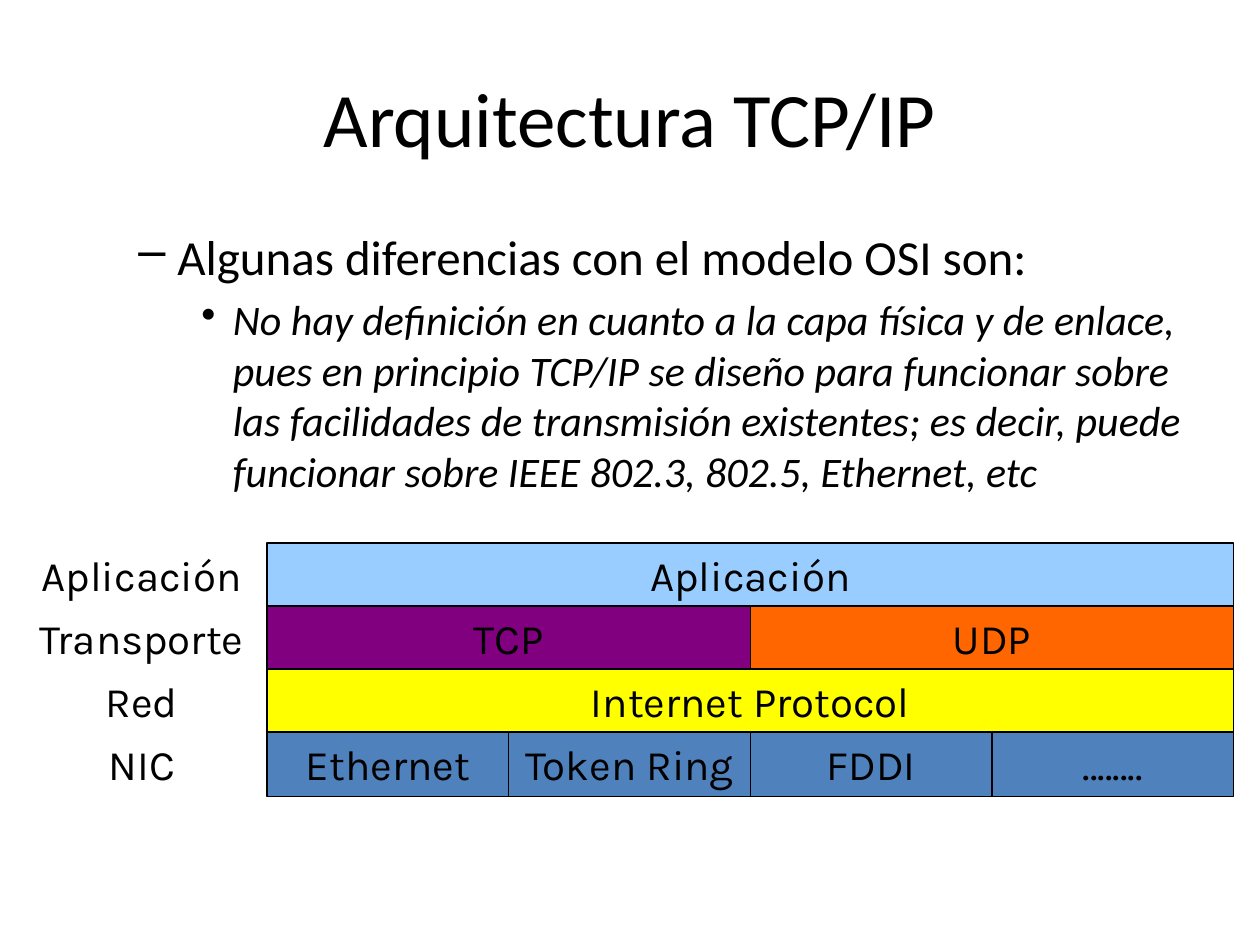
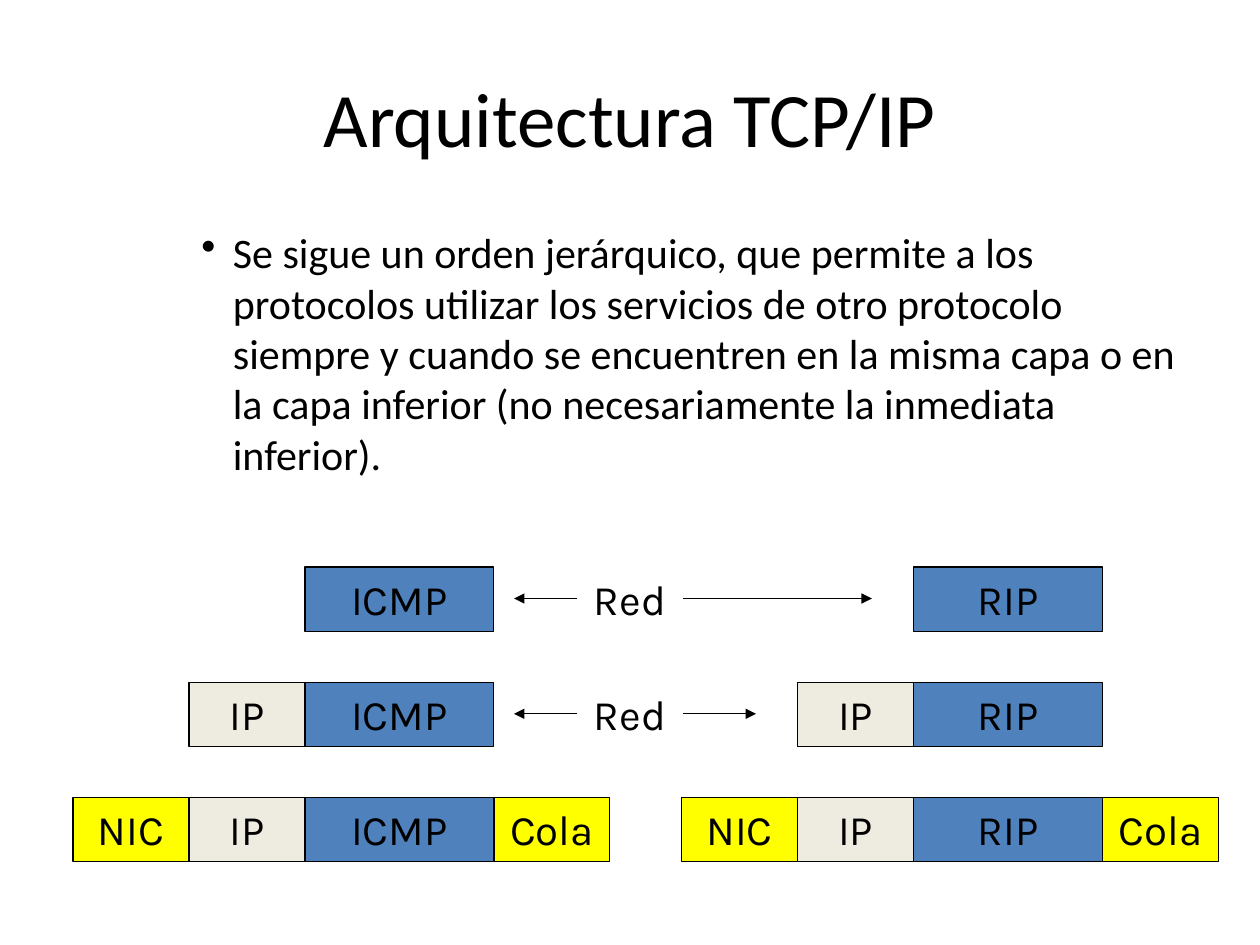
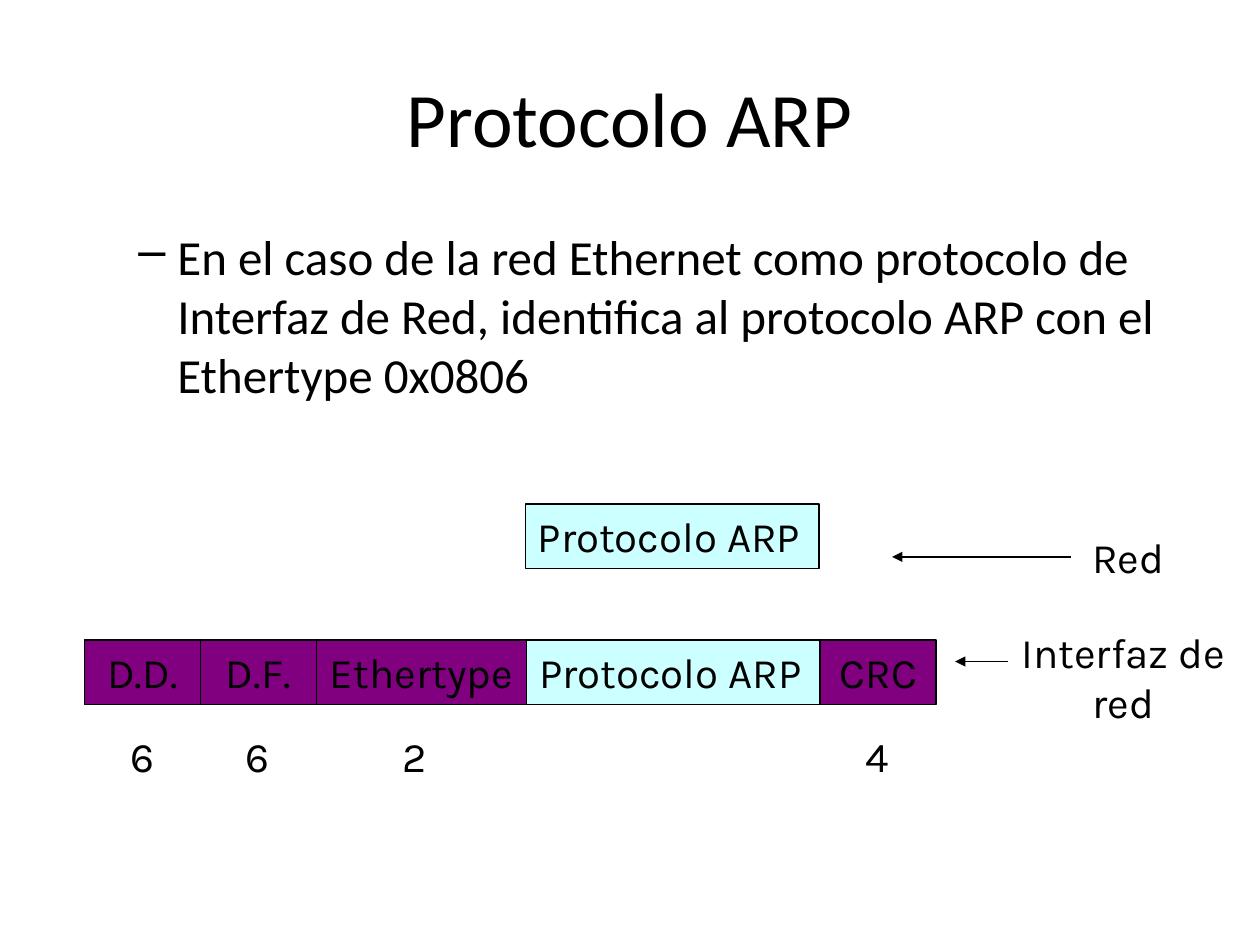
from dataclasses import dataclass

from lxml import etree
from pptx import Presentation
from pptx.dml.color import RGBColor
from pptx.enum import shapes, text
from pptx.oxml import ns
from pptx.util import Inches, Pt


@dataclass(frozen=True)
class Theme:
    black: str = "000000"
    blue: str = "4F81BD"
    sky: str = "99CCFF"
    cyan: str = "CCFFFF"
    yellow: str = "FFFF00"
    purple: str = "800080"
    orange: str = "FF6600"
    cream: str = "EEECE1"
    heading_font: str = "Calibri"
    diagram_font: str = "Karla"
    title_size: int = 44
    diagram_size: int = 24
    line_width: float = 0.75
    box_height: float = 0.51
    label_height: float = 0.5


THEME = Theme()
CENTER, LEFT = text.PP_ALIGN.CENTER, text.PP_ALIGN.LEFT

# bullet level: (character, left margin, hanging indent, text size)
BULLETS = {1: ("–", 0.81, 0.31, 28), 2: ("•", 1.25, 0.25, 24)}


def add_xml(parent, tag, **attrs):
    return etree.SubElement(parent, ns.qn(tag), attrs)


def write(p, content, *, size=THEME.diagram_size, font=THEME.diagram_font,
          italic=False, align=CENTER, before=0):
    r = p.add_run()
    r.text = content
    p.alignment = align
    p.space_before = Pt(before)
    r.font.size = Pt(size)
    r.font.name = font
    r.font.italic = italic
    r.font.color.rgb = RGBColor.from_string(THEME.black)


class Deck:
    def __init__(self, theme):
        self.theme = theme
        self.prs = Presentation()
        self.prs.slide_width = Inches(10)
        self.prs.slide_height = Inches(7.5)
        self.s = None

    def slide(self, title, bullets):
        """Start a slide with its title and (level, text, italic) bullets."""
        self.s = self.prs.slides.add_slide(self.prs.slide_layouts[6])
        tf = self.frame(0.5, 0.3, 9, 1.25)
        tf.vertical_anchor = text.MSO_ANCHOR.MIDDLE
        write(tf.paragraphs[0], title, size=self.theme.title_size,
              font=self.theme.heading_font)
        tf = self.frame(0.5, 1.75, 9, 4.95)
        for i, (level, content, italic) in enumerate(bullets):
            p = tf.add_paragraph() if i else tf.paragraphs[0]
            self.bullet(p, level, content, italic, first=i == 0)

    def bullet(self, p, level, content, italic, first):
        char, margin, hang, size = BULLETS[level]
        p.level = level
        pPr = p._p.get_or_add_pPr()
        pPr.set("marL", str(Inches(margin)))
        pPr.set("indent", str(-Inches(hang)))
        add_xml(pPr, "a:buChar", char=char)
        write(p, content, size=size, font=self.theme.heading_font, italic=italic,
              align=LEFT, before=0 if first else size * 0.2)

    def frame(self, left, top, width, height):
        tf = self.s.shapes.add_textbox(
            Inches(left), Inches(top), Inches(width), Inches(height)).text_frame
        tf.word_wrap = True
        return tf

    def label(self, content, left, top, width, height=THEME.label_height):
        write(self.frame(left, top, width, height).paragraphs[0], content)

    def box(self, content, left, top, width, fill, align=CENTER):
        sp = self.s.shapes.add_shape(
            shapes.MSO_SHAPE.RECTANGLE, Inches(left), Inches(top),
            Inches(width), Inches(self.theme.box_height))
        sp.shadow.inherit = False
        sp.fill.solid()
        sp.fill.fore_color.rgb = RGBColor.from_string(fill)
        sp.line.color.rgb = RGBColor.from_string(self.theme.black)
        sp.line.width = Pt(self.theme.line_width)
        tf = sp.text_frame
        tf.word_wrap = True
        tf.vertical_anchor = text.MSO_ANCHOR.TOP
        write(tf.paragraphs[0], content, align=align)

    def row(self, left, top, cells):
        """Set (text, width, fill[, align]) boxes side by side."""
        for content, width, *look in cells:
            self.box(content, left, top, width, *look)
            left += width

    def arrow(self, start, end, y):
        c = self.s.shapes.add_connector(
            shapes.MSO_CONNECTOR.STRAIGHT,
            Inches(start), Inches(y), Inches(end), Inches(y))
        c.line.color.rgb = RGBColor.from_string(self.theme.black)
        c.line.width = Pt(self.theme.line_width)
        add_xml(c.line._get_or_add_ln(), "a:tailEnd", type="triangle")
        add_xml(c._element.spPr, "a:effectLst")


def layers_slide(deck):
    t = deck.theme
    deck.slide("Arquitectura TCP/IP", [
        (1, "Algunas diferencias con el modelo OSI son:", False),
        (2, "No hay definición en cuanto a la capa física y de enlace, pues en "
            "principio TCP/IP se diseño para funcionar sobre las facilidades de "
            "transmisión existentes; es decir, puede funcionar sobre IEEE 802.3, "
            "802.5, Ethernet, etc", True),
    ])
    layers = [
        ("Aplicación", [("Aplicación", t.sky)]),
        ("Transporte", [("TCP", t.purple), ("UDP", t.orange)]),
        ("Red", [("Internet Protocol", t.yellow)]),
        ("NIC", [(name, t.blue)
                 for name in ("Ethernet", "Token Ring", "FDDI", "........")]),
    ]
    stack_width = 7.67
    for i, (layer, protocols) in enumerate(layers):
        top = 4.31 + 0.5 * i
        deck.label(layer, 0.21, top, 1.83)
        width = stack_width / len(protocols)
        deck.row(2.12, top, [(name, width, fill) for name, fill in protocols])


def encapsulation_slide(deck):
    t = deck.theme
    deck.slide("Arquitectura TCP/IP", [
        (2, "Se sigue un orden jerárquico, que permite a los protocolos utilizar "
            "los servicios de otro protocolo siempre y cuando se encuentren en la "
            "misma capa o en la capa inferior (no necesariamente la inmediata "
            "inferior).", False),
    ])
    first_top, pitch, header = 4.5, 0.915, 0.92
    for message, left in (("ICMP", 2.42), ("RIP", 7.25)):
        core = (message, 1.5, t.blue)
        ip = ("IP", header, t.cream)
        nic, tail = ("NIC", header, t.yellow), ("Cola", header, t.yellow)
        for i, cells in enumerate(([core], [ip, core], [nic, ip, core, tail])):
            deck.row(left - i * header, first_top + i * pitch, cells)
    for i, arrow_end in enumerate((6.92, 6)):
        top = first_top + i * pitch
        deck.label("Red", 4.25, top, 1.5)
        deck.arrow(4.58, 4.08, top + 0.25)
        deck.arrow(5.42, arrow_end, top + 0.25)


def arp_slide(deck):
    t = deck.theme
    deck.slide("Protocolo ARP", [
        (1, "En el caso de la red Ethernet como protocolo de Interfaz de Red, "
            "identifica al protocolo ARP con el Ethertype 0x0806", False),
    ])
    field = 0.92
    arp = ("Protocolo ARP", 2.33, t.cyan, LEFT)
    deck.row(4.17, 4, [arp])
    deck.row(0.67, 5.08, [
        ("D.D.", field, t.purple), ("D.F.", field, t.purple),
        ("Ethertype", 1.67, t.purple), arp, ("CRC", field, t.purple)])
    for byte_count, left in (("6", 0.67), ("6", 1.58), ("2", 2.83), ("4", 6.5)):
        deck.label(byte_count, left, 5.75, field)
    deck.arrow(8.5, 7.08, 4.42)
    deck.label("Red", 8.08, 4.17, 1.75)
    deck.arrow(8, 7.58, 5.25)
    deck.label("Interfaz de red", 7.83, 4.92, 2.17, 0.9)


def main():
    deck = Deck(THEME)
    layers_slide(deck)
    encapsulation_slide(deck)
    arp_slide(deck)
    deck.prs.save("out.pptx")


if __name__ == "__main__":
    main()
